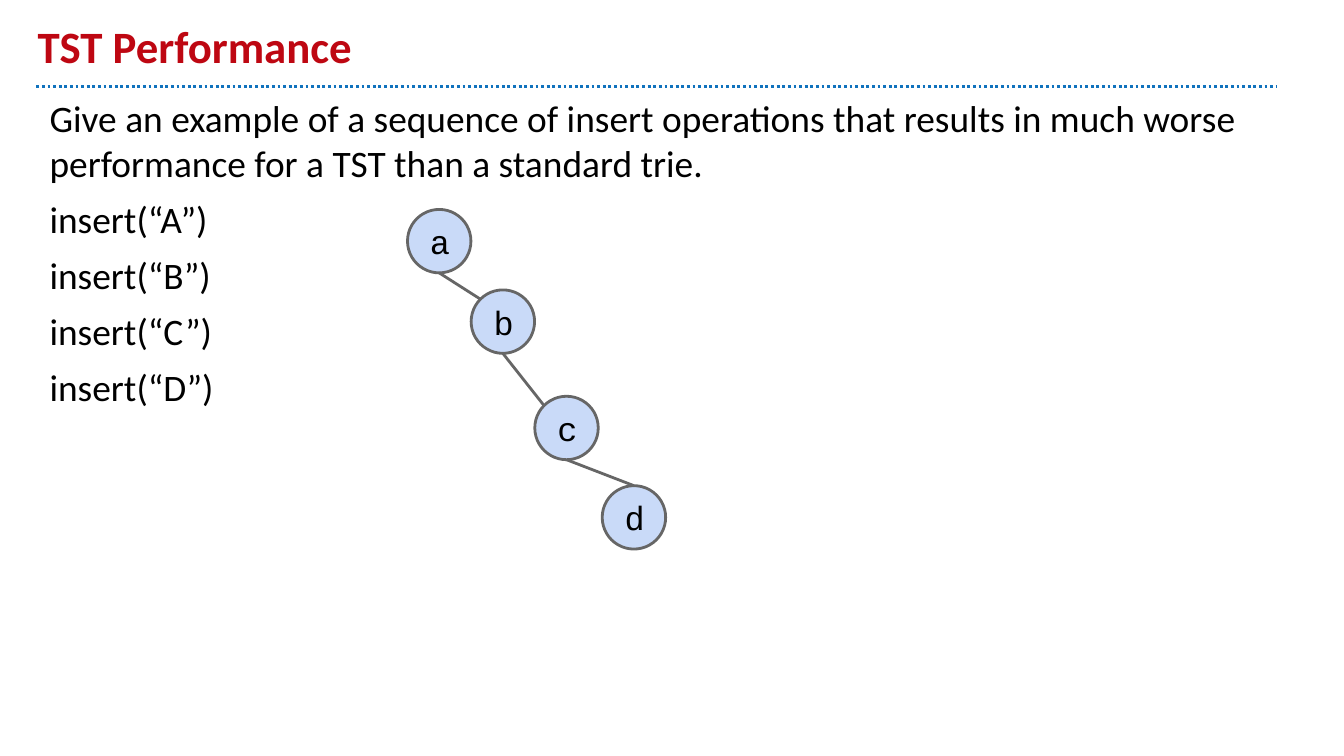
from dataclasses import dataclass
from math import sqrt

from lxml.etree import SubElement
from pptx import Presentation
from pptx.dml.color import RGBColor
from pptx.enum.dml import MSO_LINE
from pptx.enum.shapes import MSO_CONNECTOR, MSO_SHAPE
from pptx.enum.text import MSO_ANCHOR, MSO_AUTO_SIZE, PP_ALIGN
from pptx.oxml.ns import qn
from pptx.util import Pt

DIAMETER = 34
INSET = 7.2
GREY = "666666"
TITLE_FONT = {"name": "Calibri", "size": Pt(24), "bold": True}
BODY_FONT = {"name": "Calibri", "size": Pt(20)}
NODE_FONT = {"name": "Courier New", "size": Pt(18)}


@dataclass
class Node:
    label: str
    left: float
    top: float

    def edge(self, dx: float, dy: float) -> tuple[float, float]:
        """Point on the circle in the unit direction (dx, dy)."""
        radius = DIAMETER / 2
        return self.left + radius * (1 + dx), self.top + radius * (1 + dy)


def rgb(color: str) -> RGBColor:
    return RGBColor.from_string(color)


def set_frame(tf, anchor) -> None:
    frame = {"word_wrap": True, "auto_size": MSO_AUTO_SIZE.NONE, "vertical_anchor": anchor}
    for side in ("left", "top", "right", "bottom"):
        frame[f"margin_{side}"] = Pt(INSET)
    for name, value in frame.items():
        setattr(tf, name, value)


def add_text(p, text: str, font: dict, color: str = "000000") -> None:
    r = p.add_run()
    r.text = text
    for name, value in font.items():
        setattr(r.font, name, value)
    r.font.color.rgb = rgb(color)


def add_line(s, start: tuple, end: tuple, color: str):
    line = s.shapes.add_connector(MSO_CONNECTOR.STRAIGHT, *map(Pt, start + end))
    line.line.color.rgb = rgb(color)
    line.line.width = Pt(1.5)
    SubElement(line._element.spPr, qn("a:effectLst"))
    return line


def add_node(s, node: Node) -> None:
    sp = s.shapes.add_shape(MSO_SHAPE.OVAL, Pt(node.left), Pt(node.top),
                            Pt(DIAMETER), Pt(DIAMETER))
    sp.shadow.inherit = False
    sp.fill.solid()
    sp.fill.fore_color.rgb = rgb("C9DAF8")
    sp.line.color.rgb = rgb(GREY)
    sp.line.width = Pt(1.5)
    set_frame(sp.text_frame, MSO_ANCHOR.MIDDLE)
    p = sp.text_frame.paragraphs[0]
    p.alignment = PP_ALIGN.CENTER
    add_text(p, node.label, NODE_FONT)


prs = Presentation()
prs.slide_width, prs.slide_height = Pt(720), Pt(405)
s = prs.slides.add_slide(prs.slide_layouts[5])

# Dotted rule under the title
rule = add_line(s, (19.5, 46.3), (684, 46.3), "1072BD")
rule.line.dash_style = MSO_LINE.ROUND_DOT

# Title
title = s.shapes.title
title.left, title.top, title.width, title.height = Pt(13), Pt(7), Pt(648), Pt(39)
set_frame(title.text_frame, MSO_ANCHOR.BOTTOM)
p = title.text_frame.paragraphs[0]
p.alignment = PP_ALIGN.LEFT
add_text(p, "TST Performance", TITLE_FONT, "BE0712")

# Question and insert operations
body = s.shapes.add_textbox(Pt(19.5), Pt(44), Pt(664.5), Pt(327))
tf = body.text_frame
set_frame(tf, MSO_ANCHOR.TOP)
lines = ["Give an example of a sequence of insert operations that results in much "
         "worse performance for a TST than a standard trie."]
lines += [f"insert(“{key}”)" for key in "ABCD"]
for i, text in enumerate(lines):
    p = tf.add_paragraph() if i else tf.paragraphs[0]
    p.space_before = Pt(6)
    add_text(p, text, BODY_FONT)

# Tree nodes
nodes = [Node("a", 218.3, 112.2), Node("b", 252.4, 155.3),
         Node("c", 286.5, 212.3), Node("d", 322.6, 260.2)]
for node in nodes:
    add_node(s, node)

# Links from the foot of each parent to its child
UPPER_LEFT = (-1 / sqrt(2), -1 / sqrt(2))
TOP = (0, -1)
for parent, child, entry in zip(nodes, nodes[1:], (UPPER_LEFT, UPPER_LEFT, TOP)):
    add_line(s, parent.edge(0, 1), child.edge(*entry), GREY)

prs.save("out.pptx")
